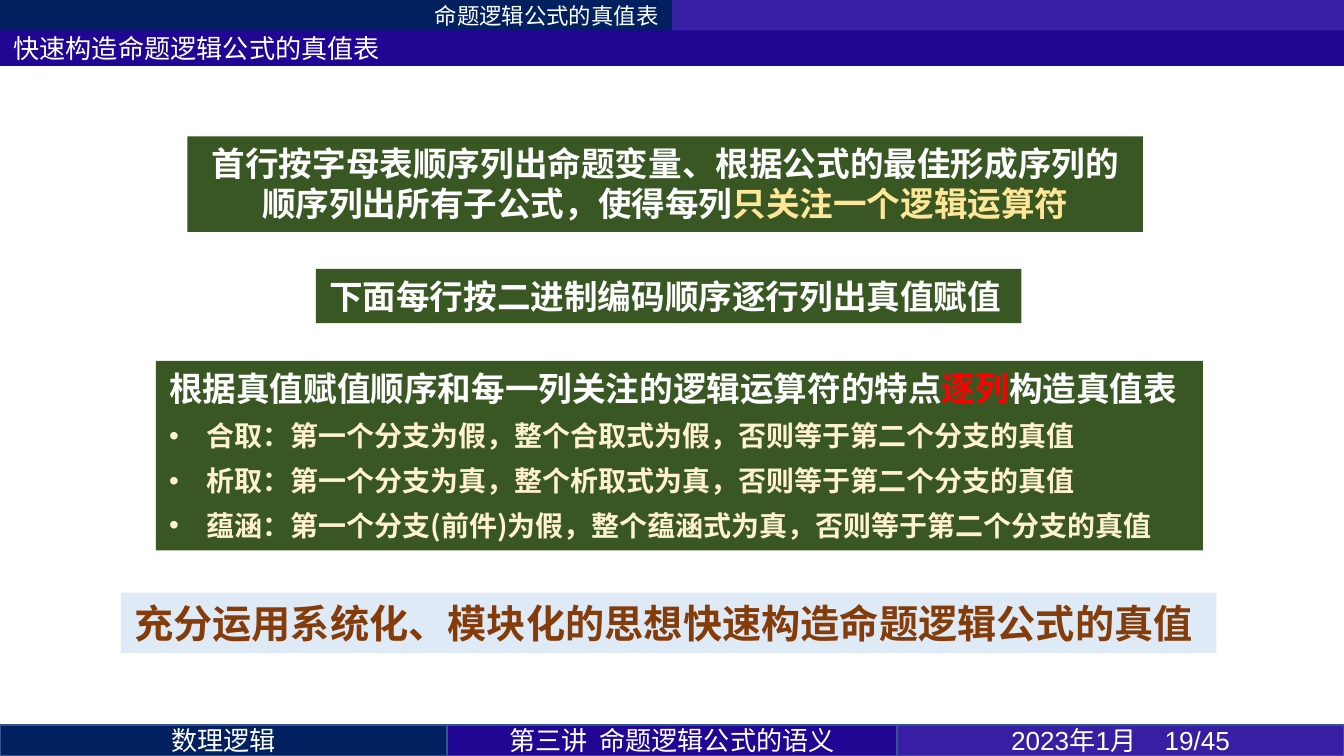
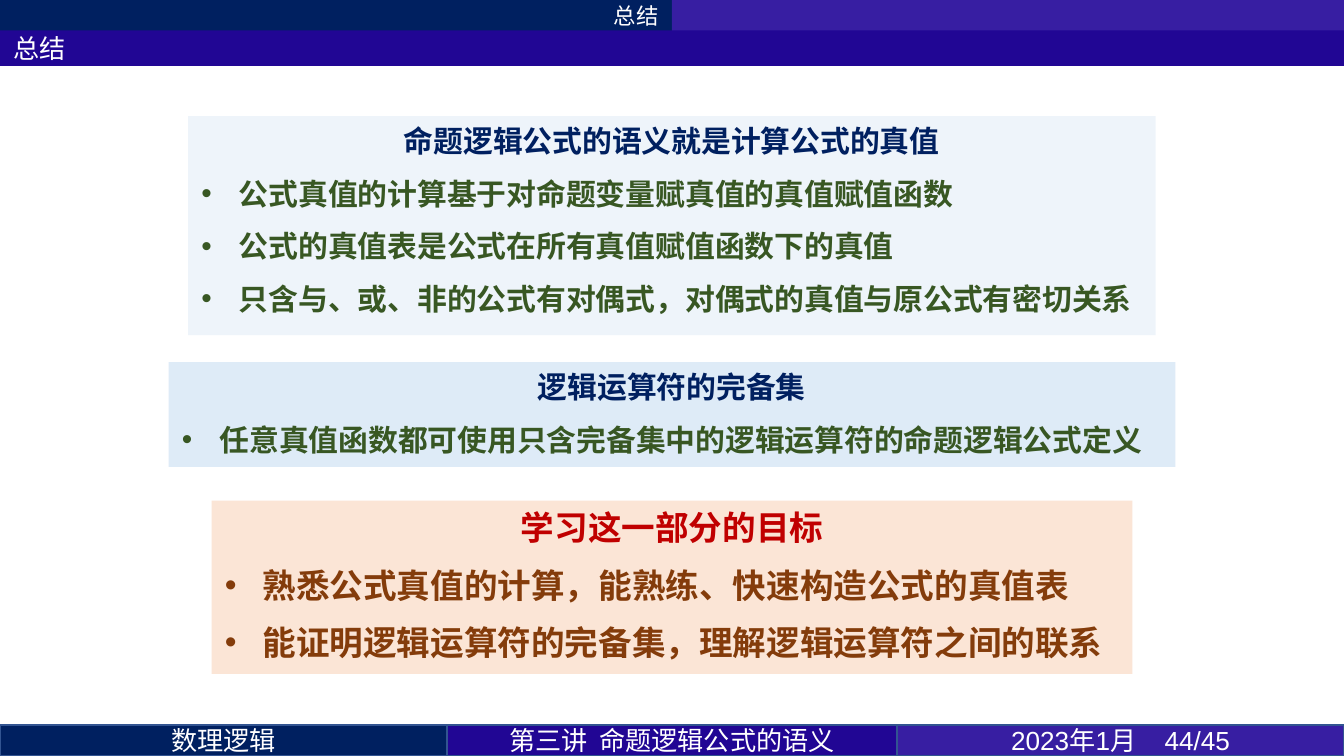
from dataclasses import dataclass

from lxml import etree
from pptx import Presentation
from pptx import util as u
from pptx.dml.color import RGBColor
from pptx.enum import shapes, text
from pptx.oxml import ns

PX = u.Inches(1) // 200
SLIDE_WIDTH, SLIDE_HEIGHT = 2000, 1125
BAND_HEIGHT = 46
ALIGN = text.PP_ALIGN


@dataclass(frozen=True)
class Theme:
    navy: str = "002060"
    indigo: str = "210694"
    violet: str = "371EA2"
    border: str = "325491"
    white: str = "FFFFFF"
    green: str = "385723"
    pale_blue: str = "DEEBF7"
    peach: str = "FBE5D6"
    brown: str = "843C0B"
    crimson: str = "C00000"
    red: str = "FF0000"
    gold: str = "FFE699"
    cream: str = "FFF2CC"
    latin: str = "Calibri"
    chinese: str = "Noto Sans CJK SC"
    footer: str = "Arial"
    section_size: int = 12
    band_size: int = 14
    rule_size: int = 15
    point_size: int = 16
    key_size: int = 18
    closing_size: int = 21
    line_height: float = 1.2


THEME = Theme()


@dataclass(frozen=True)
class Line:
    """One paragraph: runs are (wording, colour) pairs, gap is the points above and below.

    A run that is a single space is widened by space_spread points.
    """
    runs: tuple
    size: int
    font: str = THEME.latin
    bold: bool = True
    align: ALIGN = ALIGN.LEFT
    gap: float = 0
    bullet: bool = False
    space_spread: int = 0


def set_all(target, formats):
    for name, value in formats.items():
        setattr(target, name, value)


def add_xml(parent, tag, **attributes):
    return etree.SubElement(parent, ns.qn(tag), attributes)


def add_bullet(paragraph):
    properties = paragraph._p.get_or_add_pPr()
    indent = 56 * PX
    properties.set("marL", str(indent))
    properties.set("indent", str(-indent))
    add_xml(properties, "a:buFont", typeface="Arial")
    add_xml(properties, "a:buChar", char="•")


def write_line(paragraph, line):
    set_all(paragraph, {
        "alignment": line.align,
        "line_spacing": u.Pt(line.size * THEME.line_height),
        "space_before": u.Pt(line.gap),
        "space_after": u.Pt(line.gap),
    })
    if line.bullet:
        add_bullet(paragraph)
    for wording, colour in line.runs:
        run = paragraph.add_run()
        run.text = wording
        set_all(run.font, {"size": u.Pt(line.size), "bold": line.bold, "name": line.font})
        run.font.color.rgb = RGBColor.from_string(colour)
        properties = run._r.get_or_add_rPr()
        add_xml(properties, "a:ea", typeface=THEME.chinese)
        if wording == " ":
            properties.set("spc", str(line.space_spread * 100))


def write_lines(shape, lines, anchor):
    frame = shape.text_frame
    set_all(frame, {
        "word_wrap": True,
        "auto_size": text.MSO_AUTO_SIZE.NONE,
        "vertical_anchor": anchor,
    })
    for index, line in enumerate(lines):
        write_line(frame.add_paragraph() if index else frame.paragraphs[0], line)


def paint(shape, colour, opacity=100):
    shape.fill.solid()
    shape.fill.fore_color.rgb = RGBColor.from_string(colour)
    if opacity < 100:
        solid = shape._element.spPr.find(ns.qn("a:solidFill"))
        add_xml(solid[0], "a:alpha", val=str(opacity * 1000))


def add_box(slide, box, fill, lines=(), anchor=text.MSO_ANCHOR.TOP, border=None, opacity=100):
    shape = slide.shapes.add_shape(shapes.MSO_SHAPE.RECTANGLE, *(PX * n for n in box))
    shape.shadow.inherit = False
    paint(shape, fill, opacity)
    if border:
        shape.line.color.rgb = RGBColor.from_string(border)
        shape.line.width = u.Pt(1)
    else:
        shape.line.fill.background()
    write_lines(shape, lines, anchor)


def band_line(wordings, align, size=THEME.band_size, font=THEME.chinese, space_spread=0):
    runs = tuple((wording, THEME.white) for wording in wordings)
    return Line(runs, size, font, False, align, space_spread=space_spread)


def add_header(slide, section, title):
    middle = text.MSO_ANCHOR.MIDDLE
    half = SLIDE_WIDTH // 2
    section_line = band_line([section], ALIGN.RIGHT, THEME.section_size)
    add_box(slide, (0, 0, half, BAND_HEIGHT), THEME.navy, [section_line], middle)
    add_box(slide, (half, 0, half, BAND_HEIGHT), THEME.violet)
    placeholder = slide.shapes.title
    set_all(placeholder, {"left": 0, "top": 45 * PX, "width": SLIDE_WIDTH * PX, "height": 53 * PX})
    paint(placeholder, THEME.indigo)
    write_lines(placeholder, [band_line([title], ALIGN.LEFT, font=THEME.latin)], middle)
    slide.shapes._spTree.append(placeholder._element)  # in front of the upper bands


def add_footer(slide, number):
    cells = (
        (665, THEME.navy, ["数理逻辑"], THEME.chinese, 0),
        (670, THEME.indigo, ["第三讲", " ", "命题逻辑公式的语义"], THEME.chinese, 3),
        (665, THEME.violet, ["2023年1月", " ", f"{number}/45"], THEME.footer, 12),
    )
    left = 0
    for width, fill, wordings, font, spread in cells:
        line = band_line(wordings, ALIGN.CENTER, font=font, space_spread=spread)
        add_box(slide, (left, SLIDE_HEIGHT - BAND_HEIGHT, width, BAND_HEIGHT), fill, [line],
                text.MSO_ANCHOR.MIDDLE, THEME.border)
        left += width


def add_slide(presentation, section, title, number):
    slide = presentation.slides.add_slide(presentation.slide_layouts[5])
    add_header(slide, section, title)
    add_footer(slide, number)
    return slide


def bullet_lines(wordings, colour, size, gap):
    return [Line(((wording, colour),), size, THEME.chinese, gap=gap, bullet=True)
            for wording in wordings]


def add_summary(slide, box, fill, heading, heading_colour, points, point_colour, size, opacity=100):
    """A centred heading over bullet points of the same size."""
    gap = 4.5
    lines = [Line(((heading, heading_colour),), size, align=ALIGN.CENTER, gap=gap)]
    lines += bullet_lines(points, point_colour, size, gap)
    add_box(slide, box, fill, lines, opacity=opacity)


def build_truth_table_slide(presentation):
    slide = add_slide(presentation, "命题逻辑公式的真值表", "快速构造命题逻辑公式的真值表", 19)
    first_row = (
        ("首行按字母表顺序列出命题变量、根据公式的最佳形成序列的顺序列出所有子公式，使得每列", THEME.white),
        ("只关注一个逻辑运算符", THEME.gold),
    )
    add_box(slide, (279, 203, 1422, 142), THEME.green,
            [Line(first_row, THEME.key_size, align=ALIGN.CENTER)])
    add_box(slide, (470, 400, 1050, 81), THEME.green,
            [Line((("下面每行按二进制编码顺序逐行列出真值赋值", THEME.white),), THEME.key_size)])

    by_column = (
        ("根据真值赋值顺序和每一列关注的逻辑运算符的特点", THEME.white),
        ("逐列", THEME.red),
        ("构造真值表", THEME.white),
    )
    operator_rules = (
        "合取：第一个分支为假，整个合取式为假，否则等于第二个分支的真值",
        "析取：第一个分支为真，整个析取式为真，否则等于第二个分支的真值",
        "蕴涵：第一个分支(前件)为假，整个蕴涵式为真，否则等于第二个分支的真值",
    )
    add_box(slide, (232, 537, 1558, 282), THEME.green,
            [Line(by_column, THEME.key_size, gap=3)]
            + bullet_lines(operator_rules, THEME.cream, THEME.rule_size, 3))
    closing = ("充分运用系统化、模块化的思想快速构造命题逻辑公式的真值", THEME.brown)
    add_box(slide, (180, 882, 1630, 90), THEME.pale_blue, [Line((closing,), THEME.closing_size)])


def build_summary_slide(presentation):
    slide = add_slide(presentation, "总结", "总结", 44)
    add_summary(slide, (280, 173, 1440, 326), THEME.pale_blue,
                "命题逻辑公式的语义就是计算公式的真值", THEME.navy,
                ("公式真值的计算基于对命题变量赋真值的真值赋值函数",
                 "公式的真值表是公式在所有真值赋值函数下的真值",
                 "只含与、或、非的公式有对偶式，对偶式的真值与原公式有密切关系"),
                THEME.green, THEME.point_size, opacity=50)
    add_summary(slide, (251, 539, 1498, 156), THEME.pale_blue,
                "逻辑运算符的完备集", THEME.navy,
                ("任意真值函数都可使用只含完备集中的逻辑运算符的命题逻辑公式定义",),
                THEME.green, THEME.point_size)
    add_summary(slide, (315, 745, 1370, 258), THEME.peach,
                "学习这一部分的目标", THEME.crimson,
                ("熟悉公式真值的计算，能熟练、快速构造公式的真值表",
                 "能证明逻辑运算符的完备集，理解逻辑运算符之间的联系"),
                THEME.brown, THEME.key_size)


def main():
    presentation = Presentation()
    set_all(presentation, {"slide_width": SLIDE_WIDTH * PX, "slide_height": SLIDE_HEIGHT * PX})
    build_truth_table_slide(presentation)
    build_summary_slide(presentation)
    presentation.save("out.pptx")


if __name__ == "__main__":
    main()
